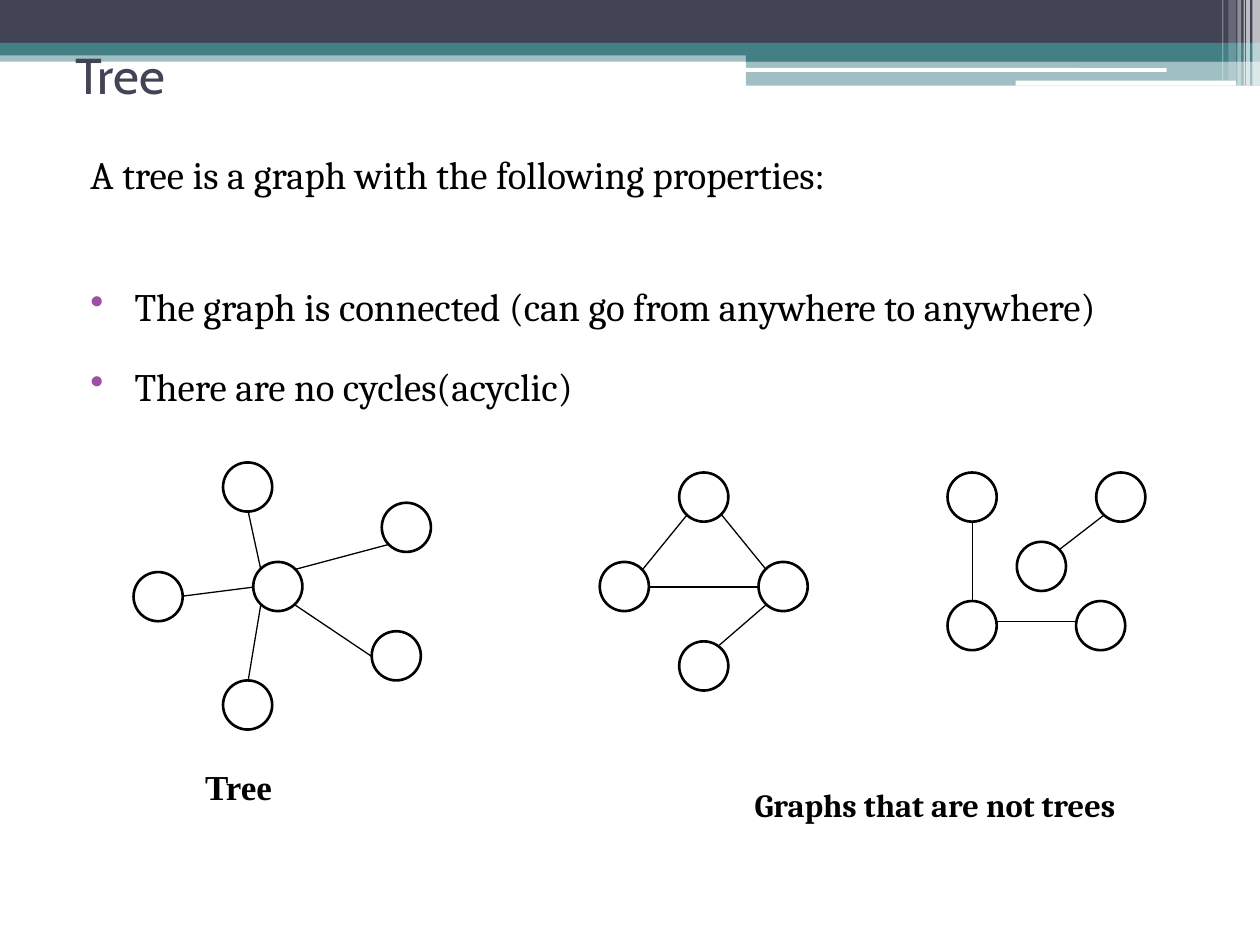
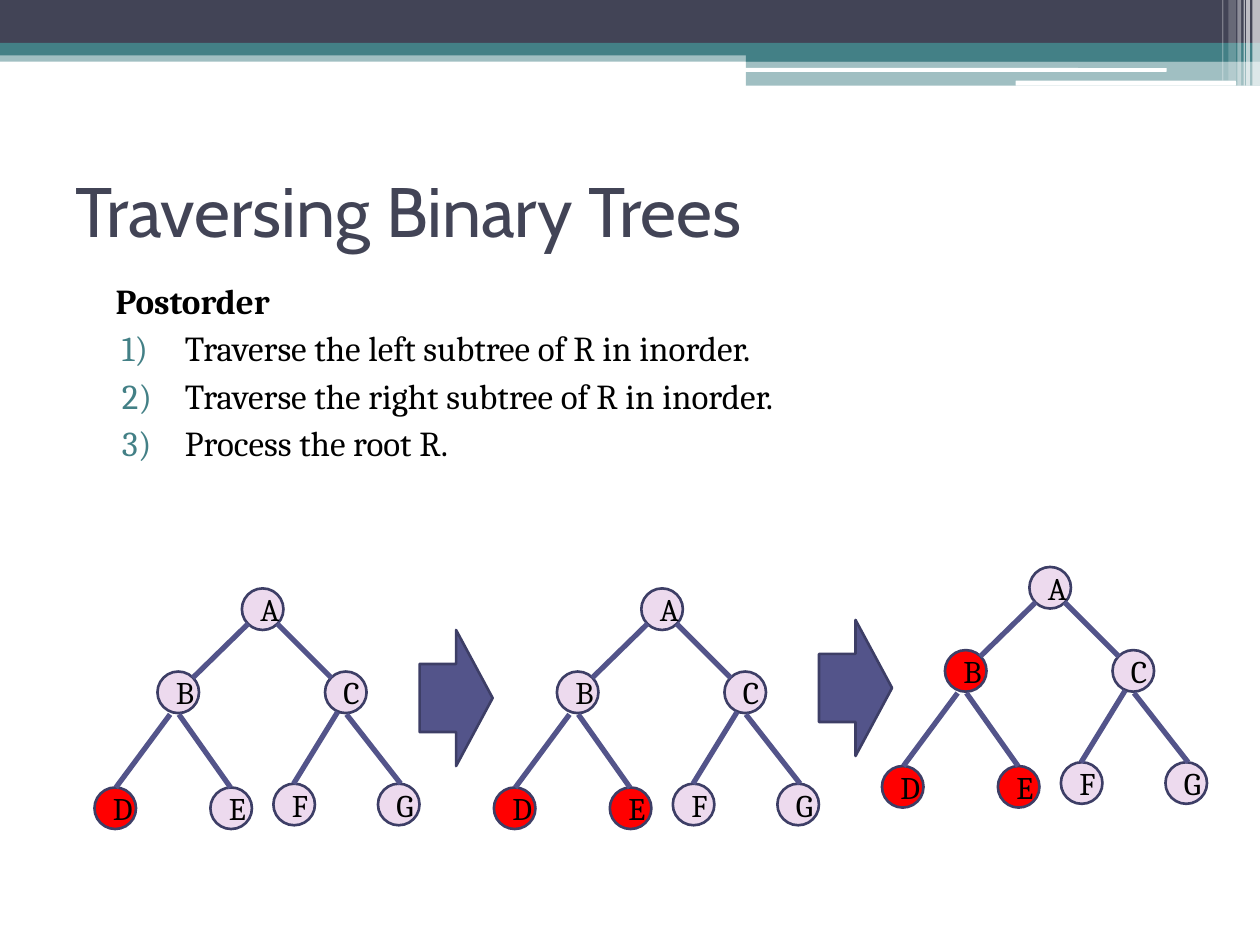
import pptx
import pptx.dml.color
import pptx.enum.shapes
import pptx.enum.text
import pptx.oxml
import pptx.oxml.ns
import pptx.util
from lxml import etree

Inches = pptx.util.Inches
Pt = pptx.util.Pt
RGBColor = pptx.dml.color.RGBColor
Shape = pptx.enum.shapes.MSO_SHAPE
Anchor = pptx.enum.text.MSO_ANCHOR
qn = pptx.oxml.ns.qn

# Colours and fonts
WHITE = RGBColor(0xFF, 0xFF, 0xFF)
BLACK = RGBColor(0, 0, 0)
SLATE = RGBColor(0x42, 0x44, 0x56)
TEAL = RGBColor(0x43, 0x80, 0x86)
PURPLE = RGBColor(0xA0, 0x4D, 0xA3)
LILAC = RGBColor(0xED, 0xDA, 0xEE)
RED = RGBColor(0xFF, 0, 0)
INDIGO = RGBColor(0x53, 0x54, 0x8A)
DARK_INDIGO = RGBColor(0x3D, 0x3E, 0x66)
TITLE_FONT = "Cabin"
BODY_FONT = "Cambria"
CAPTION_FONT = "Times New Roman"

# Header bands: left, top, width, height, colour, opacity, preset
BANDS = [
    (0, 0.4, 10, 0.09, TEAL, 50, Shape.RECTANGLE),
    (0, 0, 10, 0.34, SLATE, 100, Shape.RECTANGLE),
    (0, 0.34, 10, 0.1, TEAL, 100, Shape.RECTANGLE),
    (5.92, 0.39, 4.08, 0.1, TEAL, 100, Shape.RECTANGLE),
    (5.92, 0.48, 4.08, 0.2, TEAL, 50, Shape.RECTANGLE),
    (5.91, 0.54, 3.35, 0.03, WHITE, 100, Shape.ROUNDED_RECTANGLE),
    (8.06, 0.64, 1.75, 0.04, WHITE, 100, Shape.ROUNDED_RECTANGLE),
]
# White stripes in the corner: left, width, height, opacity
STRIPES = [
    (9.94, 0.06, 0.68, 65), (9.89, 0.03, 0.68, 65), (9.87, 0.01, 0.68, 60),
    (9.82, 0.03, 0.68, 40), (9.75, 0.06, 0.64, 20), (9.7, 0.01, 0.64, 30),
]

# Plain graphs: node corners and edge ends
GRAPH_NODE_SIZE = 0.39
GRAPHS = [
    # Tree
    ([(2.01, 4.46), (1.06, 4.54), (1.77, 5.4), (2.95, 5.01), (3.03, 3.99),
      (1.77, 3.67)],
     [(2.34, 4.52, 3.09, 4.32), (2.34, 4.8, 2.95, 5.21),
      (2.07, 4.8, 1.97, 5.4), (2.01, 4.66, 1.46, 4.73),
      (2.07, 4.52, 1.97, 4.06)]),
    # Graph with a cycle
    ([(5.39, 5.09), (6.02, 4.46), (4.76, 4.46), (5.39, 3.75)],
     [(5.45, 4.09, 5.1, 4.52), (5.73, 4.09, 6.08, 4.52),
      (5.16, 4.66, 6.02, 4.66), (5.71, 5.12, 6.08, 4.8)]),
    # Graph in two pieces
    ([(8.7, 3.75), (8.07, 4.3), (8.54, 4.77), (7.52, 4.77), (7.52, 3.75)],
     [(7.72, 4.77, 7.72, 4.14), (7.91, 4.93, 8.54, 4.93),
      (8.41, 4.36, 8.76, 4.09)]),
]

# Binary tree, measured from its top left corner
TREE_NODE_SIZE = 0.33
TREE_NODES = {
    "B": (0.5, 0.66), "A": (1.17, 0), "D": (0, 1.58), "E": (0.92, 1.58),
    "C": (1.83, 0.66), "F": (1.42, 1.55), "G": (2.25, 1.55),
}
TREE_EDGES = [
    (1.22, 0.28, 0.78, 0.71), (0.6, 1, 0.17, 1.58), (1.45, 0.28, 1.88, 0.71),
    (1.93, 0.98, 1.58, 1.55), (0.67, 1, 1.08, 1.58), (2, 1, 2.43, 1.55),
]
# Traversal steps: left, top, visited nodes
STEPS = [(0.75, 4.67, "D"), (3.92, 4.67, "DE"), (7, 4.5, "DEB")]
ARROWS = [(3.33, 5), (6.5, 4.92)]


def add_filled(page, preset, left, top, width, height, fill, line=None,
               opacity=100):
    shape = page.shapes.add_shape(preset, Inches(left), Inches(top),
                                  Inches(width), Inches(height))
    shape.shadow.inherit = False
    shape.fill.solid()
    shape.fill.fore_color.rgb = fill
    if opacity < 100:
        color = shape.fill._xPr.find(qn("a:solidFill"))[0]
        etree.SubElement(color, qn("a:alpha"), val=str(opacity * 1000))
    if line is None:
        shape.line.fill.background()
    else:
        shape.line.color.rgb = line
        shape.line.width = Pt(1.5)
    return shape


def add_edge(page, ends, color, width):
    edge = page.shapes.add_connector(
        pptx.enum.shapes.MSO_CONNECTOR.STRAIGHT, *map(Inches, ends))
    edge.line.color.rgb = color
    edge.line.width = Pt(width)
    etree.SubElement(edge._element.spPr, qn("a:effectLst"))


def set_font(paragraph, name, size, color=BLACK, bold=False):
    paragraph.font.name = name
    paragraph.font.size = Pt(size)
    paragraph.font.color.rgb = color
    paragraph.font.bold = bold


def add_box(page, left, top, width, height, anchor=Anchor.TOP):
    box = page.shapes.add_textbox(Inches(left), Inches(top), Inches(width),
                                  Inches(height))
    box.text_frame.word_wrap = True
    box.text_frame.vertical_anchor = anchor
    return box.text_frame


def add_label(page, text, left, top, width, height, font, size, color=BLACK,
              bold=False, anchor=Anchor.TOP):
    para = add_box(page, left, top, width, height, anchor).paragraphs[0]
    para.text = text
    set_font(para, font, size, color, bold)


def set_indent(paragraph, margin, first=0):
    properties = paragraph._p.get_or_add_pPr()
    properties.set("marL", str(Inches(margin)))
    properties.set("indent", str(Inches(first)))
    return properties


def add_item(frame, text, size, margin, first, color, marker, **kind):
    para = frame.add_paragraph()
    para.text = text
    properties = set_indent(para, margin, first)
    bullet_color = etree.SubElement(properties, qn("a:buClr"))
    etree.SubElement(bullet_color, qn("a:srgbClr"), val=str(color))
    etree.SubElement(properties, qn(marker), **kind)
    para.space_before = Pt(3)
    set_font(para, BODY_FONT, size)
    return para


def add_page(deck):
    page = deck.slides.add_slide(deck.slide_layouts[6])
    for left, top, width, height, color, opacity, preset in BANDS:
        add_filled(page, preset, left, top, width, height, color,
                   opacity=opacity)
    for left, width, height, opacity in STRIPES:
        add_filled(page, Shape.RECTANGLE, left, 0, width, height, WHITE,
                   opacity=opacity)
    return page


def add_title(page, text, top, height, size, anchor):
    add_label(page, text, 0.5, top, 9, height, TITLE_FONT, size, SLATE,
              anchor=anchor)


def add_graph(page, nodes, edges):
    for left, top in nodes:
        add_filled(page, Shape.OVAL, left, top, GRAPH_NODE_SIZE,
                   GRAPH_NODE_SIZE, WHITE, BLACK)
    for ends in edges:
        add_edge(page, ends, BLACK, 0.75)


def add_binary_tree(page, left, top, visited):
    for letter, (across, down) in TREE_NODES.items():
        node = add_filled(page, Shape.OVAL, left + across, top + down,
                          TREE_NODE_SIZE, TREE_NODE_SIZE,
                          RED if letter in visited else LILAC, DARK_INDIGO)
        para = node.text_frame.paragraphs[0]
        para.text = letter
        para.alignment = pptx.enum.text.PP_ALIGN.CENTER
        set_font(para, BODY_FONT, 18)
    for x1, y1, x2, y2 in TREE_EDGES:
        add_edge(page, (left + x1, top + y1, left + x2, top + y2), INDIGO, 3)


def build_tree_page(deck):
    page = add_page(deck)
    add_title(page, "Tree", 0.3, 0.54, 28.8, Anchor.TOP)

    # Definition
    frame = add_box(page, 0.5, 1.15, 9, 2.3)
    intro = frame.paragraphs[0]
    intro.text = "A tree is a graph with the following properties:"
    set_indent(intro, 0.12)
    set_font(intro, BODY_FONT, 22.2)
    items = [
        add_item(frame, text, 22.2, 0.47, -0.35, PURPLE, "a:buChar", char="•")
        for text in (
            "The graph is connected (can go from anywhere to anywhere)",
            "There are no cycles(acyclic)")]
    for item in items:
        item.line_spacing = 1.6
    items[0].space_before = Pt(32.6)

    # Examples
    for nodes, edges in GRAPHS:
        add_graph(page, nodes, edges)
    add_label(page, "Tree", 1.53, 6.03, 0.87, 0.44, CAPTION_FONT, 20,
              bold=True)
    add_label(page, "Graphs that are not trees", 5.89, 6.18, 3.4, 0.42,
              BODY_FONT, 18.5, bold=True)


def build_traversal_page(deck):
    page = add_page(deck)
    add_title(page, "Traversing Binary Trees", 1.08, 1.17, 40, Anchor.MIDDLE)

    # Rules
    frame = add_box(page, 0.42, 2.17, 9.33, 1.7)
    heading = frame.paragraphs[0]
    heading.text = "Postorder"
    set_indent(heading, 0.4)
    set_font(heading, BODY_FONT, 20, bold=True)
    for text in ("Traverse the left subtree of R in inorder.",
                 "Traverse the right subtree of R in inorder.",
                 "Process the root R."):
        add_item(frame, text, 20, 0.95, -0.5, TEAL, "a:buAutoNum",
                 type="arabicParenR")

    # Steps
    for left, top, visited in STEPS:
        add_binary_tree(page, left, top, visited)
    for left, top in ARROWS:
        add_filled(page, Shape.RIGHT_ARROW, left, top, 0.58, 1.08, INDIGO,
                   DARK_INDIGO)


def main():
    deck = pptx.Presentation()
    deck.slide_width = Inches(10)
    deck.slide_height = Inches(7.5)
    build_tree_page(deck)
    build_traversal_page(deck)
    deck.save("out.pptx")


if __name__ == "__main__":
    main()
